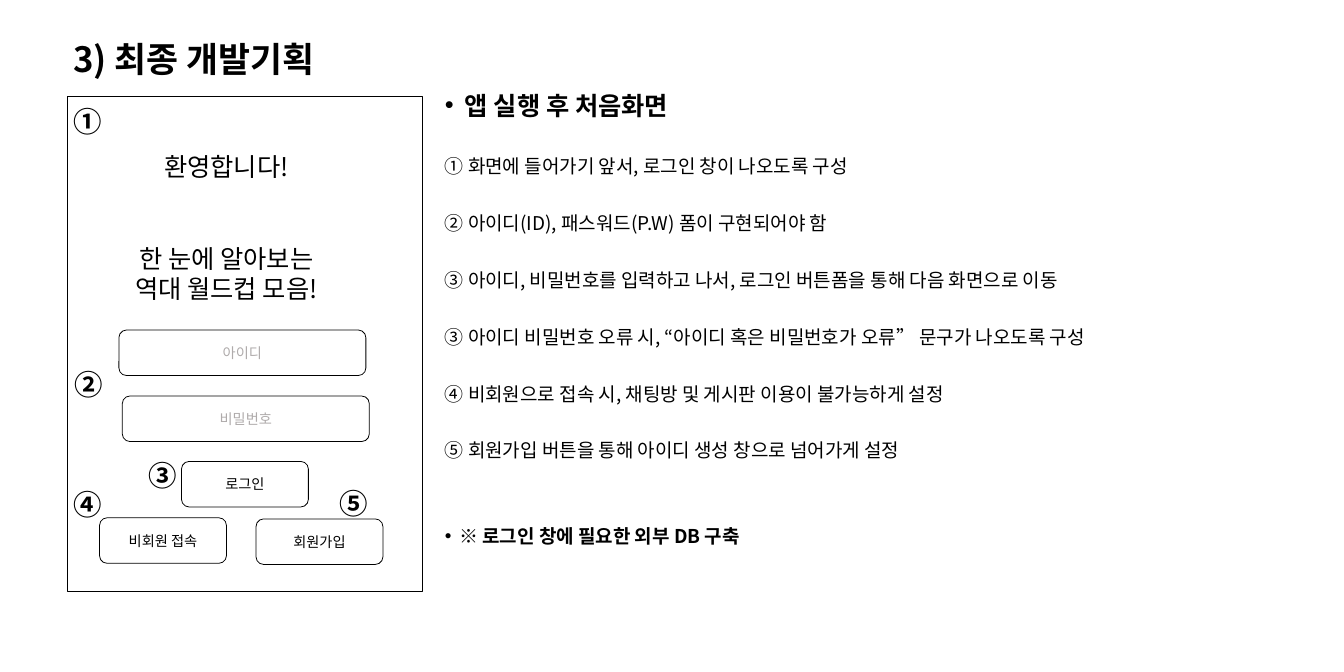
from pptx import Presentation
from pptx.dml.color import RGBColor
from pptx.enum.shapes import MSO_SHAPE
from pptx.enum.text import MSO_ANCHOR, PP_ALIGN
from pptx.oxml.ns import qn
from pptx.util import Pt
from lxml import etree

PX = 9144
FONT = "Noto Sans CJK KR"
BLACK = RGBColor(0x00, 0x00, 0x00)
WHITE = RGBColor(0xFF, 0xFF, 0xFF)
GRAY = RGBColor(0xAF, 0xAB, 0xAB)
RECT = MSO_SHAPE.RECTANGLE
ROUND = MSO_SHAPE.ROUNDED_RECTANGLE
MIDDLE = MSO_ANCHOR.MIDDLE
LEFT = PP_ALIGN.LEFT
CENTER = PP_ALIGN.CENTER

TITLE = "3) 최종 개발기획"
HEADING = "앱 실행 후 처음화면"
STEPS = [
    "① 화면에 들어가기 앞서, 로그인 창이 나오도록 구성",
    "② 아이디(ID), 패스워드(P.W) 폼이 구현되어야 함",
    "③ 아이디, 비밀번호를 입력하고 나서, 로그인 버튼폼을 통해 다음 화면으로 이동",
    "③ 아이디 비밀번호 오류 시, “아이디 혹은 비밀번호가 오류” 문구가 나오도록 구성",
    "④ 비회원으로 접속 시, 채팅방 및 게시판 이용이 불가능하게 설정",
    "⑤ 회원가입 버튼을 통해 아이디 생성 창으로 넘어가게 설정",
]
NOTE = "※ 로그인 창에 필요한 외부 DB 구축"
WELCOME = [("환영합니다!", 0), ("한 눈에 알아보는", 77), ("역대 월드컵 모음!", 0)]
FIELDS = [("아이디", 90, 410), ("비밀번호", 96, 526)]
BUTTONS = [("비회원 접속", 56, 740), ("회원가입", 331, 742), ("로그인", 200, 641)]
MARKERS = [("①", 10, 11), ("②", 12, 472), ("③", 142, 633),
           ("④", 10, 684), ("⑤", 477, 682)]


def add_box(slide, x, y, w, h, inset=True):
    """Add a wrapping text box and return its text frame."""
    tf = slide.shapes.add_textbox(x * PX, y * PX, w * PX, h * PX).text_frame
    tf.word_wrap = True
    if not inset:
        tf.margin_left = tf.margin_right = tf.margin_top = tf.margin_bottom = 0
    return tf


def add_line(tf, text, size, line=None, before=0, bold=False, color=BLACK,
             align=LEFT, bullet=0):
    """Write one formatted paragraph, reusing the empty first one."""
    p = tf.paragraphs[0] if not tf.text else tf.add_paragraph()
    p.text = text
    p.alignment = align
    p.space_before = Pt(before)
    if line:
        p.line_spacing = Pt(line)
    if bullet:
        pPr = p._p.get_or_add_pPr()
        pPr.set("marL", str(bullet * PX))
        pPr.set("indent", str(-bullet * PX))
        etree.SubElement(pPr, qn("a:buFont")).set("typeface", "Arial")
        etree.SubElement(pPr, qn("a:buChar")).set("char", "•")
    for r in p.runs:
        r.font.name = FONT
        r.font.size = Pt(size)
        r.font.bold = bold
        r.font.color.rgb = color
        etree.SubElement(r.font._element, qn("a:ea")).set("typeface", FONT)


def add_panel(slide, kind, x, y, w, h, text="", color=BLACK):
    """Add a white outlined shape with an optional centred label."""
    sp = slide.shapes.add_shape(kind, x * PX, y * PX, w * PX, h * PX)
    sp.shadow.inherit = False
    sp.fill.solid()
    sp.fill.fore_color.rgb = WHITE
    sp.line.color.rgb = BLACK
    sp.line.width = Pt(1)
    if text:
        sp.text_frame.vertical_anchor = MIDDLE
        add_line(sp.text_frame, text, 18, color=color, align=CENTER)


def add_title(slide, x, y, w, h):
    """Place the slide title."""
    tf = add_box(slide, x, y, w, h)
    tf.vertical_anchor = MIDDLE
    add_line(tf, TITLE, 44, line=53, bold=True)


def add_description(slide, x, y, w, h):
    """Place the heading, the numbered steps and the closing note."""
    tf = add_box(slide, x, y, w, h)
    add_line(tf, HEADING, 32, line=35, bold=True, bullet=35)
    for step in STEPS:
        add_line(tf, step, 24, line=26, before=46)
    add_line(tf, NOTE, 24, line=26, before=82, bold=True, bullet=25)


def add_login_screen(slide, x, y, w, h):
    """Draw the login screen mock-up with its numbered markers."""
    add_panel(slide, RECT, x, y, w, h)
    tf = add_box(slide, x + 96, y + 91, 366, 279)
    for text, before in WELCOME:
        add_line(tf, text, 32, line=38.6, before=before, align=CENTER)
    for text, dx, dy in FIELDS:
        add_panel(slide, ROUND, x + dx, y + dy, 434, 80, text, GRAY)
    for text, dx, dy in BUTTONS:
        add_panel(slide, ROUND, x + dx, y + dy, 223, 80, text)
    for text, dx, dy in MARKERS:
        tf = add_box(slide, x + dx, y + dy, 96, 61, inset=False)
        add_line(tf, text, 36, line=45, bold=True)


def main():
    """Build the slide and save it."""
    prs = Presentation()
    prs.slide_width = 2362 * PX
    prs.slide_height = 1181 * PX
    slide = prs.slides.add_slide(prs.slide_layouts[6])
    add_title(slide, 119, 36, 2038, 135)
    add_description(slide, 772, 158, 1437, 948)
    add_login_screen(slide, 119, 170, 623, 869)
    prs.save("out.pptx")


if __name__ == "__main__":
    main()
